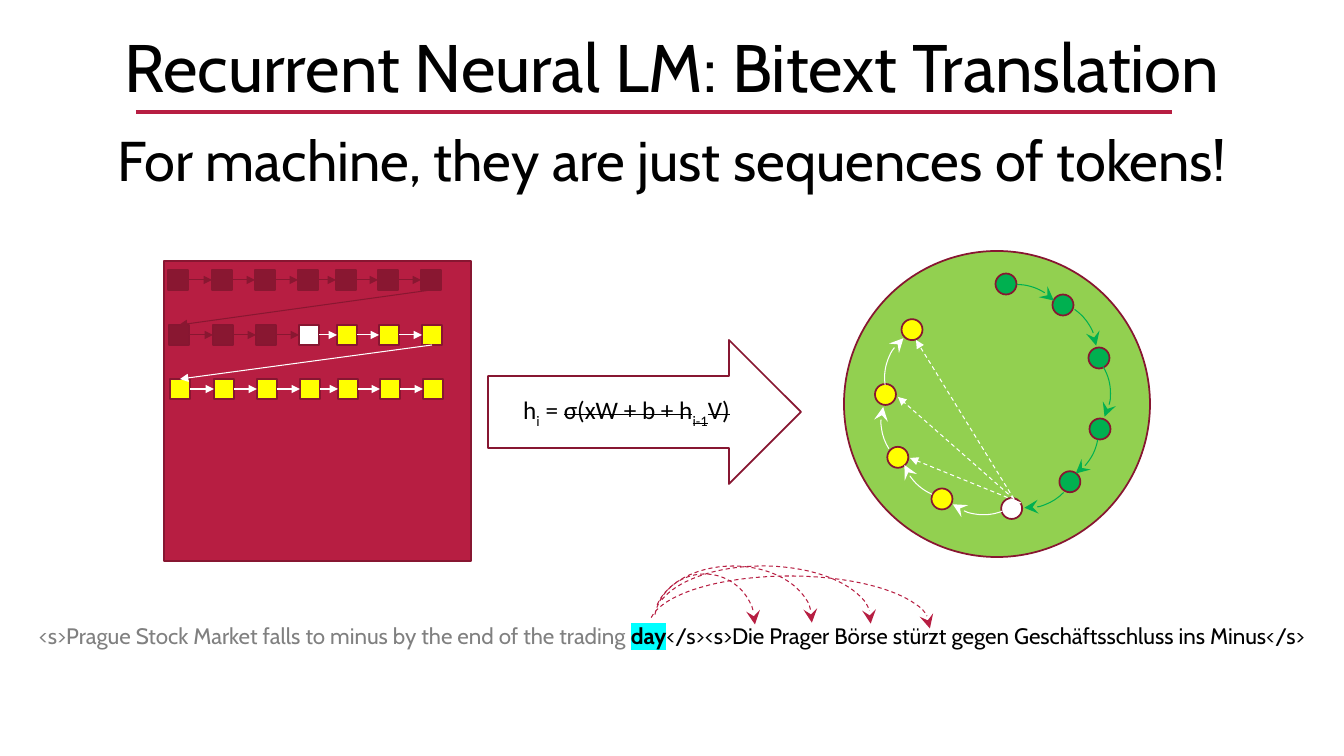
import math

import pptx
import pptx.dml.color
import pptx.enum.dml
import pptx.enum.shapes
import pptx.enum.text
import pptx.oxml
import pptx.oxml.ns
import pptx.util

RGBColor = pptx.dml.color.RGBColor
MSO_SHAPE = pptx.enum.shapes.MSO_SHAPE

SLIDE_WIDTH, SLIDE_HEIGHT = 1344, 756
EMU_PER_PX = 12192000 / SLIDE_WIDTH

BLACK = RGBColor(0, 0, 0)
WHITE = RGBColor(255, 255, 255)
GRAY = RGBColor(0x80, 0x80, 0x80)
CRIMSON = RGBColor(0xB7, 0x1E, 0x42)
MAROON = RGBColor(0x87, 0x16, 0x31)
DARK_RED = RGBColor(0x89, 0x17, 0x31)
LIME = RGBColor(0x92, 0xD0, 0x50)
GREEN = RGBColor(0x00, 0xB0, 0x50)
YELLOW = RGBColor(0xFF, 0xFF, 0x00)
CYAN = RGBColor(0x00, 0xFF, 0xFF)

# Runs are (text, colour, extra formatting)
TITLE = [("Recurrent Neural LM: Bitext Translation", BLACK, {})]
SUBTITLE = [("For machine, they are just sequences of tokens!", BLACK, {})]
FORMULA = [
    ("h", BLACK, {}),
    ("i", BLACK, {"baseline": "-25000"}),
    (" = ", BLACK, {}),
    ("σ(xW + b + h", BLACK, {"strike": "sngStrike"}),
    ("i-1", BLACK, {"strike": "sngStrike", "baseline": "-25000"}),
    ("V)", BLACK, {"strike": "sngStrike"}),
]
BITEXT = [
    ("<s>Prague Stock Market falls to minus by the end of the trading ", GRAY, {}),
    ("day", BLACK, {"b": "1", "highlight": CYAN}),
    ("</s><s>Die Prager Börse stürzt gegen Geschäftsschluss ins Minus</s>", BLACK, {}),
]
TITLE_FONT = {"size": pptx.util.Pt(48), "name": "Cabin"}
SUBTITLE_FONT = {"size": pptx.util.Pt(40), "name": "Cabin"}
FORMULA_FONT = {"size": pptx.util.Pt(18), "name": "Calibri"}
BITEXT_FONT = {"size": pptx.util.Pt(16), "name": "Cabin"}

# Source-side memory: tokens in reading order over three rows
TOKEN_COLORS = [DARK_RED] * 10 + [WHITE] + [YELLOW] * 10
TOKEN_LEFTS = [168, 212, 255, 298, 336, 378, 421]
TOKEN_TOPS = [270, 325, 379]
TOKEN_SIZE = 20

# Hidden states: one chain shape, turned about its first state
STATE_OFFSETS = [(0, 0), (57, 21), (93, 74), (94, 144)]
STEP_OFFSETS = [(11, 51), (40, 67), (54, 109)]
STEP_ANGLES = [(162, 190.19), (182.71, 212.32), (197.2, 16.84)]
STATE_SIZE, STEP_SIZE = 21, 101
# (first state centre, rotation, state colours, step colours)
CHAINS = [
    ((1006, 284), 0, [GREEN] * 3, [GREEN] * 3),
    ((1100, 429), 99.5, [GREEN, GREEN, WHITE], [GREEN, GREEN, WHITE]),
    ((942, 499), 203.1, [YELLOW] * 4, [WHITE] * 3),
]
STATE_ATTENTION = [
    ((1021, 503), (910, 458)),
    ((1014, 499), (898, 397)),
    ((1014, 499), (916, 340)),
]
WORD_ATTENTION = [
    ((654, 574, 101, 101), (114.79, 0)),
    ((654, 566, 158, 108), (114.79, 1.18)),
    ((654, 566, 217, 108), (114.79, 1.18)),
    ((649, 576, 281, 101), (110.21, 0.48)),
]


def px(*lengths):
    return [pptx.util.Emu(round(length * EMU_PER_PX)) for length in lengths]


def xml(markup):
    return pptx.oxml.parse_xml(markup.replace("/>", f' {pptx.oxml.ns.nsdecls("a")}/>'))


def set_line(shape, color, width, head=None, dashed=False):
    shape.line.color.rgb = color
    shape.line.width = pptx.util.Pt(width)
    if dashed:
        shape.line.dash_style = pptx.enum.dml.MSO_LINE.DASH
    if head:
        size = "lg" if head == "stealth" else "med"
        shape.get_or_add_ln().append(
            xml(f'<a:tailEnd type="{head}" w="{size}" len="{size}"/>'))


def add_shape(kind, box, fill, line_color=MAROON):
    shape = slide.shapes.add_shape(kind, *px(*box))
    shape.shadow.inherit = False
    if fill is None:
        shape.fill.background()
    else:
        shape.fill.solid()
        shape.fill.fore_color.rgb = fill
    set_line(shape, line_color, 1.25)
    return shape


def add_arc(box, angles, color, rotation=0, dashed=False):
    arc = add_shape(MSO_SHAPE.ARC, box, None)
    arc.adjustments[0], arc.adjustments[1] = angles
    arc.rotation = rotation
    set_line(arc, color, 0.75, "stealth", dashed)


def add_line(start, end, color, width=0.75, head="triangle", dashed=False):
    line = slide.shapes.add_connector(
        pptx.enum.shapes.MSO_CONNECTOR.STRAIGHT, *px(*start, *end))
    set_line(line, color, width, head, dashed)
    line._element.spPr.append(xml("<a:effectLst/>"))
    return line


def write(shape, runs, font_format):
    paragraph = shape.text_frame.paragraphs[0]
    paragraph.alignment = pptx.enum.text.PP_ALIGN.CENTER
    for text, color, extras in runs:
        run = paragraph.add_run()
        run.text = text
        for name, value in font_format.items():
            setattr(run.font, name, value)
        run.font.color.rgb = color
        properties = run._r.get_or_add_rPr()
        for name, value in extras.items():
            if name == "highlight":
                highlight = xml("<a:highlight/>")
                highlight.append(xml(f'<a:srgbClr val="{value}"/>'))
                properties.find(pptx.oxml.ns.qn("a:solidFill")).addnext(highlight)
            else:
                properties.set(name, value)


def add_text(box, runs, font_format):
    text_box = slide.shapes.add_textbox(*px(*box))
    text_box.text_frame.word_wrap = True
    write(text_box, runs, font_format)


def centered(x, y, size):
    return x - size / 2, y - size / 2, size, size


def turned(origin, offset, degrees):
    cos, sin = math.cos(math.radians(degrees)), math.sin(math.radians(degrees))
    return (origin[0] + offset[0] * cos - offset[1] * sin,
            origin[1] + offset[0] * sin + offset[1] * cos)


def add_tokens():
    columns = len(TOKEN_LEFTS)
    tokens = []
    for index, color in enumerate(TOKEN_COLORS):
        row, column = divmod(index, columns)
        # Each row starts one px further right
        box = (TOKEN_LEFTS[column] + row, TOKEN_TOPS[row], TOKEN_SIZE, TOKEN_SIZE)
        tokens.append(add_shape(MSO_SHAPE.RECTANGLE, box, color,
                                MAROON if row else DARK_RED))
    for index, (token, following) in enumerate(zip(tokens, tokens[1:])):
        color = DARK_RED if TOKEN_COLORS[index] == DARK_RED else WHITE
        wraps = (index + 1) % columns == 0
        arrow = add_line((0, 0), (0, 0), color)
        arrow.begin_connect(token, 2 if wraps else 3)
        arrow.end_connect(following, 0 if wraps else 1)


def add_chain(origin, rotation, state_colors, step_colors):
    for offset, color in zip(STATE_OFFSETS, state_colors):
        add_shape(MSO_SHAPE.OVAL,
                  centered(*turned(origin, offset, rotation), STATE_SIZE), color)
    for offset, angles, color in zip(STEP_OFFSETS, STEP_ANGLES, step_colors):
        add_arc(centered(*turned(origin, offset, rotation), STEP_SIZE),
                angles, color, rotation)


presentation = pptx.Presentation()
presentation.slide_width, presentation.slide_height = px(SLIDE_WIDTH, SLIDE_HEIGHT)
slide = presentation.slides.add_slide(presentation.slide_layouts[5])

title = slide.shapes.title
title.left, title.top, title.width, title.height = px(0, 20, SLIDE_WIDTH, 92)
title.text_frame.vertical_anchor = pptx.enum.text.MSO_ANCHOR.TOP
write(title, TITLE, TITLE_FONT)
add_line((136, 112), (1172, 112), CRIMSON, 2.5, None)
add_text((0, 121, SLIDE_WIDTH, 78), SUBTITLE, SUBTITLE_FONT)

add_shape(MSO_SHAPE.RECTANGLE, (164, 261, 307, 300), CRIMSON)
add_tokens()
write(add_shape(MSO_SHAPE.RIGHT_ARROW, (488, 340, 313, 144), None),
      FORMULA, FORMULA_FONT)

add_shape(MSO_SHAPE.OVAL, (844, 251, 306, 306), LIME)
for chain in CHAINS:
    add_chain(*chain)
for start, end in STATE_ATTENTION:
    add_line(start, end, WHITE, dashed=True)

add_text((0, 617, SLIDE_WIDTH, 37), BITEXT, BITEXT_FONT)
for box, angles in WORD_ATTENTION:
    add_arc(box, angles, CRIMSON, dashed=True)

presentation.save("out.pptx")
